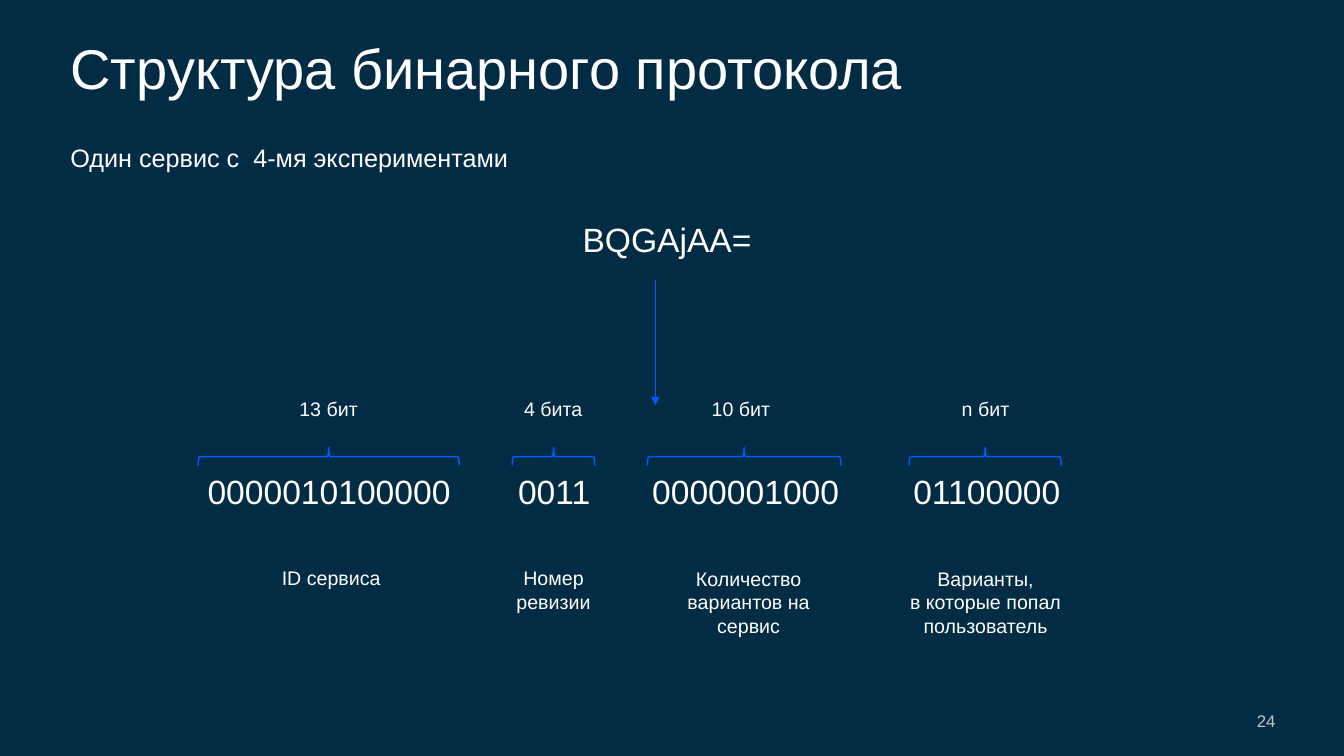
from dataclasses import dataclass

from lxml import etree
from pptx import Presentation
from pptx.dml.color import RGBColor
from pptx.enum.shapes import MSO_CONNECTOR, MSO_SHAPE
from pptx.enum.text import MSO_ANCHOR, MSO_AUTO_SIZE, PP_ALIGN
from pptx.oxml.ns import qn
from pptx.util import Inches, Pt

LEFT, CENTER, RIGHT = PP_ALIGN.LEFT, PP_ALIGN.CENTER, PP_ALIGN.RIGHT
TOP, MIDDLE = MSO_ANCHOR.TOP, MSO_ANCHOR.MIDDLE
FIT_SHAPE = MSO_AUTO_SIZE.SHAPE_TO_FIT_TEXT
STRAIGHT, LEFT_BRACE = MSO_CONNECTOR.STRAIGHT, MSO_SHAPE.LEFT_BRACE

FONT = "Arial"
NAVY, WHITE, BLUE, GREY = "022B44", "FFFFFF", "005AFF", "C0C8CE"

BITS_TOP, BRACE_MIDDLE, DIGITS_TOP, CAPTION_TOP = 3.89, 4.53, 4.62, 5.57
BITS_WIDTH, BRACE_DEPTH = 0.92, 0.18


@dataclass
class Field:
    digits: str
    digits_left: float
    digits_width: float
    brace_center: float
    brace_span: float
    bits: str
    bits_left: float
    caption: str
    caption_left: float
    caption_width: float
    caption_height: float


FIELDS = [
    Field("0000010100000", 1.96, 2.75, 3.26, 2.59, "13 бит", 2.87,
          "ID сервиса", 2.69, 1.19, 0.34),
    Field("0011", 5.04, 1, 5.49, 0.82, "4 бита", 5.1,
          "Номер ревизии", 4.73, 1.52, 0.57),
    Field("0000001000", 6.37, 2.25, 7.38, 1.92, "10 бит", 6.96,
          "Количество вариантов на сервис", 6.44, 1.97, 0.81),
    Field("01100000", 8.96, 2.25, 9.77, 1.51, "n бит", 9.44,
          "Варианты,\nв которые попал пользователь", 8.9, 1.75, 0.81),
]


def rgb(color: str) -> RGBColor:
    return RGBColor.from_string(color)


def format_text(tf, size: float, color: str = WHITE, align=LEFT) -> None:
    for p in tf.paragraphs:
        p.alignment = align
        for r in p.runs:
            r.font.name = FONT
            r.font.size = Pt(size)
            r.font.color.rgb = rgb(color)


def clear_insets(tf) -> None:
    tf.margin_left = tf.margin_top = tf.margin_right = tf.margin_bottom = 0


def add_text(slide, text: str, left: float, top: float, width: float,
             height: float, size: float, color: str = WHITE, align=LEFT):
    box = slide.shapes.add_textbox(Inches(left), Inches(top),
                                   Inches(width), Inches(height))
    tf = box.text_frame
    tf.word_wrap = True
    tf.auto_size = FIT_SHAPE
    tf.text = text
    format_text(tf, size, color, align)
    return tf


def add_arrow(slide, x: float, top: float, bottom: float) -> None:
    arrow = slide.shapes.add_connector(STRAIGHT, Inches(x), Inches(top),
                                       Inches(x), Inches(bottom))
    arrow.line.color.rgb = rgb(BLUE)
    arrow.line.width = Pt(1)
    etree.SubElement(arrow.line._get_or_add_ln(), qn("a:tailEnd"), type="triangle")
    etree.SubElement(arrow._element.spPr, qn("a:effectLst"))


def add_brace(slide, center: float, span: float) -> None:
    """Left brace turned on its side so that it opens downwards."""
    sp = slide.shapes.add_shape(
        LEFT_BRACE, Inches(center - BRACE_DEPTH / 2),
        Inches(BRACE_MIDDLE - span / 2), Inches(BRACE_DEPTH), Inches(span))
    sp.rotation = 90
    sp.shadow.inherit = False
    sp.fill.background()
    sp.line.color.rgb = rgb(BLUE)
    sp.line.width = Pt(1)


def add_field(slide, field: Field) -> None:
    add_text(slide, field.bits, field.bits_left, BITS_TOP, BITS_WIDTH, 0.34, 14)
    add_brace(slide, field.brace_center, field.brace_span)
    add_text(slide, field.digits, field.digits_left, DIGITS_TOP,
             field.digits_width, 0.5, 24)
    add_text(slide, field.caption, field.caption_left, CAPTION_TOP,
             field.caption_width, field.caption_height, 14, align=CENTER)


def main() -> None:
    prs = Presentation()
    prs.slide_width, prs.slide_height = Inches(13.33), Inches(7.5)
    slide = prs.slides.add_slide(prs.slide_layouts[5])
    slide.background.fill.solid()
    slide.background.fill.fore_color.rgb = rgb(NAVY)

    # Title and subtitle
    title = slide.shapes.title
    title.left, title.top = Inches(0.7), Inches(0.45)
    title.width, title.height = Inches(11.93), Inches(0.75)
    tf = title.text_frame
    tf.text = "Структура бинарного протокола"
    tf.vertical_anchor = TOP
    tf.auto_size = MSO_AUTO_SIZE.NONE
    clear_insets(tf)
    tf.paragraphs[0].line_spacing = 0.82
    format_text(tf, 40)
    add_text(slide, "Один сервис с  4-мя экспериментами", 0.6, 1.36, 4.61, 0.4, 18)

    # Encoded value and its decoding
    add_text(slide, "BQGAjAA=", 5.68, 2.12, 4.61, 0.5, 24)
    add_arrow(slide, 6.5, 2.78, 4.02)
    for field in FIELDS:
        add_field(slide, field)

    # Slide number
    number = add_text(slide, "24", 11.66, 7.03, 0.99, 0.24, 12, GREY, RIGHT)
    number.auto_size = MSO_AUTO_SIZE.NONE
    number.vertical_anchor = MIDDLE
    clear_insets(number)

    prs.save("out.pptx")


if __name__ == "__main__":
    main()
